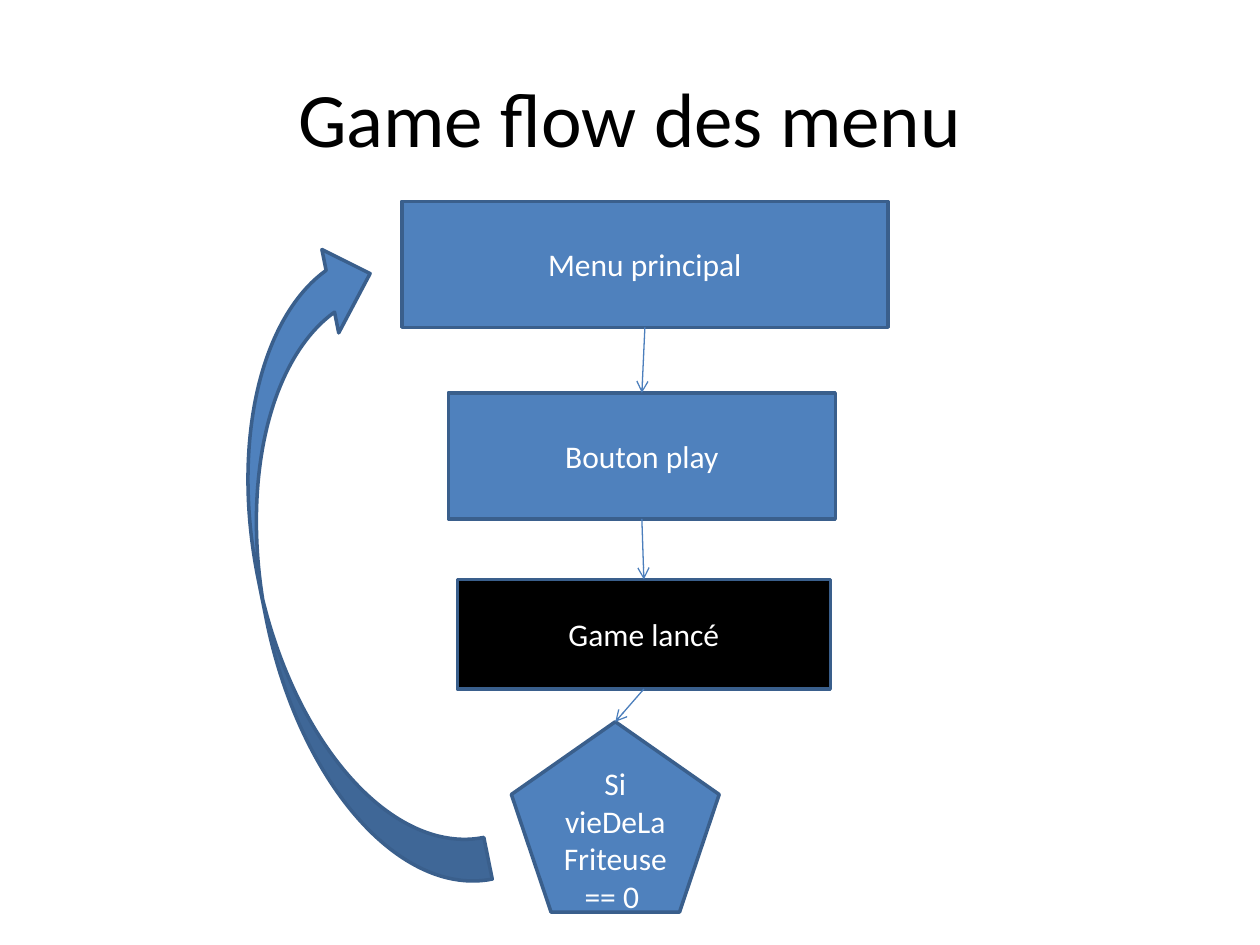
from itertools import pairwise

from lxml.etree import SubElement
from pptx import Presentation
from pptx.dml.color import RGBColor
from pptx.enum.shapes import MSO_CONNECTOR, MSO_SHAPE
from pptx.enum.text import MSO_ANCHOR, PP_ALIGN
from pptx.oxml.ns import qn
from pptx.util import Cm, Pt

COLOURS = {"fill": "4F81BD", "outline": "3A5F8C", "link": "4B7EBC",
           "game": "000000", "title": "000000", "label": "FFFFFF"}
BOTTOM_SITE, TOP_SITE = 2, 0
STEPS = [
    ("Menu principal", MSO_SHAPE.RECTANGLE, (0, 0, 9.8, 2.54), "fill"),
    ("Bouton play", MSO_SHAPE.RECTANGLE, (0.94, 3.86, 7.8, 2.54), "fill"),
    ("Game lancé", MSO_SHAPE.RECTANGLE, (1.12, 7.62, 7.52, 2.21), "game"),
    ("Si vieDeLaFriteuse == 0 ", MSO_SHAPE.REGULAR_PENTAGON,
     (2.21, 10.49, 4.19, 3.84), "fill"),
]


def colour(name):
    """Return a named colour."""
    return RGBColor.from_string(COLOURS[name])


def write_text(shape, text, size, colour_name):
    """Set centred text in a shape."""
    text_frame = shape.text_frame
    text_frame.text = text
    text_frame.word_wrap = True
    text_frame.vertical_anchor = MSO_ANCHOR.MIDDLE
    paragraph = text_frame.paragraphs[0]
    paragraph.alignment = PP_ALIGN.CENTER
    font = paragraph.runs[0].font
    font.name, font.size = "Calibri", Pt(size)
    font.color.rgb = colour(colour_name)


def add_title(slide, left, top, width, height):
    """Place the slide title in its box."""
    title = slide.shapes.title
    title.left, title.top = Cm(left), Cm(top)
    title.width, title.height = Cm(width), Cm(height)
    write_text(title, "Game flow des menu", 44, "title")


def add_block(slide, kind, left, top, width, height, fill="fill"):
    """Add an outlined filled shape."""
    shape = slide.shapes.add_shape(kind, Cm(left), Cm(top), Cm(width), Cm(height))
    shape.shadow.inherit = False
    shape.fill.solid()
    shape.fill.fore_color.rgb = colour(fill)
    shape.line.color.rgb = colour("outline")
    shape.line.width = Pt(2)
    return shape


def link_steps(slide, source, target):
    """Join two steps with an arrow."""
    connector = slide.shapes.add_connector(MSO_CONNECTOR.STRAIGHT, 0, 0, 0, 0)
    connector.begin_connect(source, BOTTOM_SITE)
    connector.end_connect(target, TOP_SITE)
    connector.line.color.rgb = colour("link")
    connector.line.width = Pt(0.75)
    SubElement(connector.line._get_or_add_ln(), qn("a:tailEnd"), type="arrow")
    SubElement(connector._element.spPr, qn("a:effectLst"))


def add_flow(slide, left, top):
    """Place the linked steps from the given corner."""
    blocks = []
    for label, kind, (x, y, width, height), fill in STEPS:
        block = add_block(slide, kind, left + x, top + y, width, height, fill)
        write_text(block, label, 18, "label")
        blocks.append(block)
    for source, target in pairwise(blocks):
        link_steps(slide, source, target)


def add_return_arrow(slide, left, top, width, height):
    """Place the curved arrow back to the main menu."""
    arrow = add_block(slide, MSO_SHAPE.CURVED_LEFT_ARROW, left, top, width, height)
    arrow.rotation = 168.6


def main():
    """Build and save the presentation."""
    presentation = Presentation()
    presentation.slide_width, presentation.slide_height = Cm(25.4), Cm(19.05)
    slide = presentation.slides.add_slide(presentation.slide_layouts[5])
    add_title(slide, 1.27, 0.76, 22.86, 3.18)
    add_flow(slide, 8.1, 4.06)
    add_return_arrow(slide, 5.21, 4.88, 3.43, 13.31)
    presentation.save("out.pptx")


main()
